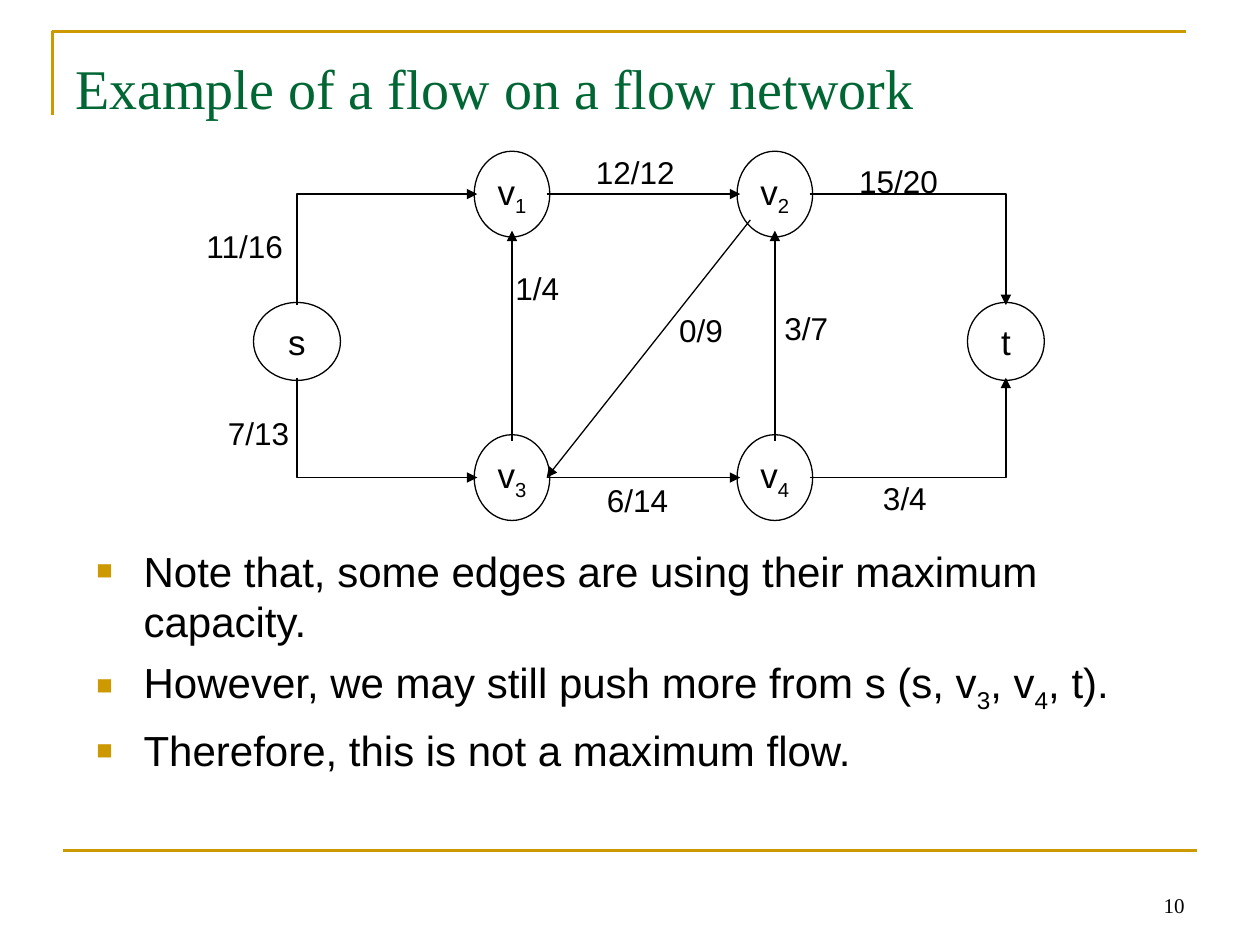
from dataclasses import dataclass

from lxml.etree import SubElement
from pptx import Presentation
from pptx.dml.color import RGBColor
from pptx.enum.shapes import MSO_CONNECTOR as Link, MSO_SHAPE as Preset
from pptx.enum.text import MSO_ANCHOR as Anchor, PP_ALIGN as Align
from pptx.oxml.ns import qn
from pptx.util import Pt

COLORS = {"ink": "000000", "title": "006633", "gold": "CC9900"}
SANS, SERIF = "Arial", "Times New Roman"

LEFT, RIGHT, TOP, BOTTOM = (-1, 0), (1, 0), (0, -1), (0, 1)
BOTTOM_LEFT = (-0.71, 0.71)


@dataclass(frozen=True)
class Node:
    name: str
    x: float
    y: float
    width: float = 43.2
    height: float = 49
    dip_x: float = 1.8  # how far edges reach inside the ellipse
    dip_y: float = 3.6

    def port(self, side: tuple) -> tuple:
        """Return the point where an edge meets the node on that side."""
        return (self.x + side[0] * (self.width / 2 - self.dip_x),
                self.y + side[1] * (self.height / 2 - self.dip_y))


@dataclass(frozen=True)
class Edge:
    start: Node
    start_side: tuple
    end: Node
    end_side: tuple
    flow: str
    label_left: float
    label_top: float
    bent: bool = False


COLUMN_1, COLUMN_2, UPPER, MIDDLE, LOWER = 292.6, 442.8, 110.9, 195.1, 272.9
S = Node("s", 169.7, MIDDLE, 49.7, 44.6, dip_y=1.5)
V1 = Node("v_1", COLUMN_1, UPPER)
V2 = Node("v_2", COLUMN_2, UPPER)
V3 = Node("v_3", COLUMN_1, LOWER)
V4 = Node("v_4", COLUMN_2, LOWER)
T = Node("t", 574.8, MIDDLE, 43.9, 44.6, dip_y=1.5)
NODES = (S, V1, V3, V2, V4, T)

EDGES = (
    Edge(S, TOP, V1, LEFT, "11/16", 110.9, 126, bent=True),
    Edge(S, BOTTOM, V3, LEFT, "7/13", 123.1, 232.8, bent=True),
    Edge(V1, RIGHT, V2, LEFT, "12/12", 333.4, 84.2),
    Edge(V2, RIGHT, T, TOP, "15/20", 483.8, 88.9, bent=True),
    Edge(V3, RIGHT, V4, LEFT, "6/14", 339.8, 271.4),
    Edge(V4, RIGHT, T, BOTTOM, "3/4", 497.5, 270, bent=True),
    Edge(V3, TOP, V1, BOTTOM, "1/4", 287.4, 150),
    Edge(V4, TOP, V2, BOTTOM, "3/7", 441.2, 172.8),
    Edge(V2, BOTTOM_LEFT, V3, RIGHT, "0/9", 381, 174.2),
)

NOTES = (
    "Note that, some edges are using their maximum capacity.",
    "However, we may still push more from s (s, v_3, v_4, t).",
    "Therefore, this is not a maximum flow.",
)


def color(name: str) -> RGBColor:
    return RGBColor.from_string(COLORS[name])


def write(para, text: str, size: float, font: str = SANS, ink: str = "ink") -> None:
    """Fill a paragraph; the character after each underscore is a subscript."""
    first, *rest = text.split("_")
    pieces = [(first, False)]
    for part in rest:
        pieces += [(part[0], True), (part[1:], False)]
    for piece, lowered in pieces:
        if not piece:
            continue
        span = para.add_run()
        span.text = piece
        span.font.size = Pt(size)
        span.font.name = font
        span.font.color.rgb = color(ink)
        if lowered:
            span.font._element.set("baseline", "-25000")


def add_text(slide, left: float, top: float, width: float, height: float,
             text: str, size: float, font: str = SANS, ink: str = "ink",
             wrap: bool = True):
    box = slide.shapes.add_textbox(Pt(left), Pt(top), Pt(width), Pt(height))
    box.text_frame.word_wrap = wrap
    write(box.text_frame.paragraphs[0], text, size, font, ink)
    return box.text_frame


def add_line(slide, start: tuple, end: tuple, ink: str, weight: float,
             kind=Link.STRAIGHT):
    line = slide.shapes.add_connector(kind, *map(Pt, start + end))
    line.line.color.rgb = color(ink)
    line.line.width = Pt(weight)
    SubElement(line._element.spPr, qn("a:effectLst"))
    return line


def draw_node(slide, node: Node) -> None:
    oval = slide.shapes.add_shape(
        Preset.OVAL, Pt(node.x - node.width / 2), Pt(node.y - node.height / 2),
        Pt(node.width), Pt(node.height))
    oval.shadow.inherit = False
    oval.fill.background()
    oval.line.color.rgb = color("ink")
    oval.line.width = Pt(0.75)
    frame = oval.text_frame
    frame.word_wrap = False
    frame.vertical_anchor = Anchor.MIDDLE
    frame.paragraphs[0].alignment = Align.CENTER
    write(frame.paragraphs[0], node.name, 20)


def draw_edge(slide, edge: Edge) -> None:
    """Draw an arrow; a bent one is laid from the node it leaves sideways."""
    start, end = edge.start.port(edge.start_side), edge.end.port(edge.end_side)
    arrow = "a:tailEnd"
    if edge.bent and edge.start_side in (TOP, BOTTOM):
        start, end, arrow = end, start, "a:headEnd"
    line = add_line(slide, start, end, "ink", 0.75,
                    Link.ELBOW if edge.bent else Link.STRAIGHT)
    if edge.bent:
        line._element.spPr.find(qn("a:prstGeom")).set("prst", "bentConnector2")
    SubElement(line.line._get_or_add_ln(), qn(arrow), type="triangle")


def draw_label(slide, edge: Edge) -> None:
    width = 12 + 10 * len(edge.flow)
    add_text(slide, edge.label_left, edge.label_top, width, 28.8,
             edge.flow, 18, wrap=False)


def add_bullet(para) -> None:
    para.space_before = Pt(6)
    properties = para._p.get_or_add_pPr()
    properties.set("marL", str(Pt(27)))
    properties.set("indent", str(-Pt(27)))
    ink = SubElement(properties, qn("a:buClr"))
    SubElement(ink, qn("a:srgbClr"), val=COLORS["gold"])
    SubElement(properties, qn("a:buSzPct"), val="65000")
    SubElement(properties, qn("a:buFont"), typeface=SANS)
    SubElement(properties, qn("a:buChar"), char="■")


def draw_frame(slide) -> None:
    builder = slide.shapes.build_freeform(Pt(30), Pt(66), scale=1.0)
    builder.add_line_segments([(Pt(30), Pt(18)), (Pt(678), Pt(18))], close=False)
    corner = builder.convert_to_shape()
    corner.shadow.inherit = False
    corner.fill.background()
    corner.line.color.rgb = color("gold")
    corner.line.width = Pt(1.5)
    add_line(slide, (36, 486), (684, 486), "gold", 1.5)


def main() -> None:
    deck = Presentation()
    deck.slide_width, deck.slide_height = Pt(720), Pt(540)
    slide = deck.slides.add_slide(deck.slide_layouts[6])

    draw_frame(slide)
    number = add_text(slide, 516, 491.8, 168, 36, "10", 12, SERIF)
    number.vertical_anchor = Anchor.BOTTOM
    number.paragraphs[0].alignment = Align.RIGHT
    add_text(slide, 36, 27, 648, 48, "Example of a flow on a flow network",
             32, SERIF, "title")

    notes = add_text(slide, 48, 308, 648, 148, NOTES[0], 24)
    for note in NOTES[1:]:
        write(notes.add_paragraph(), note, 24)
    for para in notes.paragraphs:
        add_bullet(para)

    for node in NODES:
        draw_node(slide, node)
    for edge in EDGES:
        draw_edge(slide, edge)
    for edge in EDGES:
        draw_label(slide, edge)

    deck.save("out.pptx")


if __name__ == "__main__":
    main()
